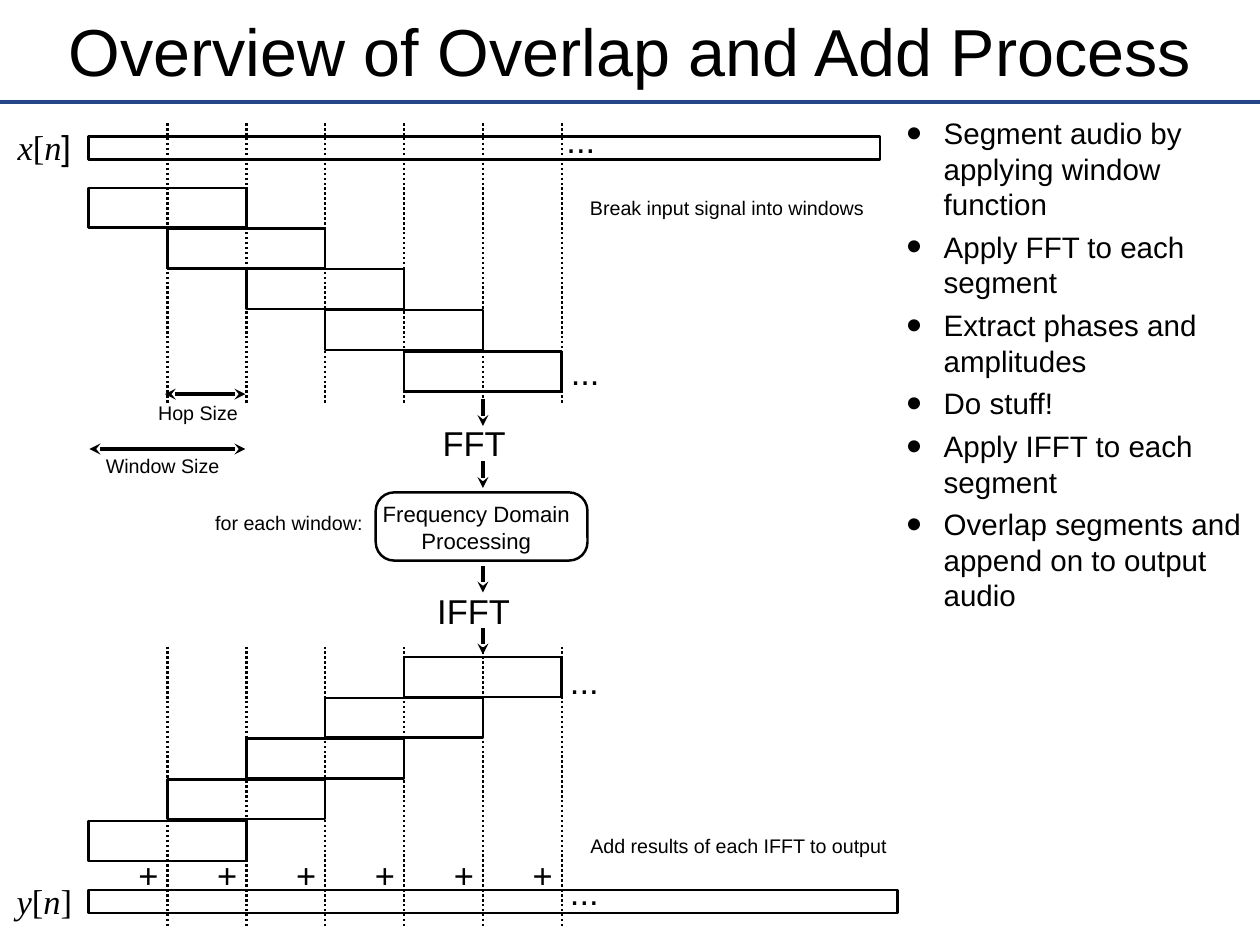
from pptx import Presentation
from pptx.dml.color import RGBColor
from pptx.enum.dml import MSO_LINE
from pptx.enum.shapes import MSO_CONNECTOR, MSO_SHAPE
from pptx.enum.text import MSO_ANCHOR, PP_ALIGN
from pptx.oxml.ns import qn
from pptx.util import Pt
from lxml import etree

PX = 9144  # 100 px to the inch
RECT, ROUND = MSO_SHAPE.RECTANGLE, MSO_SHAPE.ROUNDED_RECTANGLE
STRAIGHT = MSO_CONNECTOR.STRAIGHT
DOTS = MSO_LINE.ROUND_DOT
CENTER, LEFT = PP_ALIGN.CENTER, PP_ALIGN.LEFT
MIDDLE, TOP = MSO_ANCHOR.MIDDLE, MSO_ANCHOR.TOP
BLACK, BLUE = "000000", "254789"
SERIF = {"name": "Times New Roman"}
ITALIC = {"name": "Times New Roman", "italic": True}
HOP = 89
WINDOW = 2 * HOP
COUNT = 5
DROP = 185  # from the first window of a staircase to the last
STEPS = ["Segment audio by applying window function", "Apply FFT to each segment",
         "Extract phases and amplitudes", "Do stuff!", "Apply IFFT to each segment",
         "Overlap segments and append on to output audio"]


def color(code):
    return RGBColor.from_string(code)


def emu(*sizes):
    return [size * PX for size in sizes]


def add_xml(parent, tag, **attrs):
    return etree.SubElement(parent, qn(tag), attrs)


def style(font, size, extra):
    values = {"name": "Arial", "size": Pt(size), "italic": False} | extra
    for key, value in values.items():
        setattr(font, key, value)
    font.color.rgb = color(BLACK)


def text(slide, box, paras, size=28, align=CENTER, anchor=MIDDLE, wrap=False, pad=0):
    """Each paragraph is a list of (words, font values) runs."""
    frame = slide.shapes.add_textbox(*emu(*box)).text_frame
    values = {"word_wrap": wrap, "vertical_anchor": anchor}
    for side in ("left", "top", "right", "bottom"):
        values[f"margin_{side}"] = pad * PX
    for key, value in values.items():
        setattr(frame, key, value)
    for i, runs in enumerate(paras):
        para = frame.add_paragraph() if i else frame.paragraphs[0]
        para.alignment = align
        for words, extra in runs:
            run = para.add_run()
            run.text = words
            style(run.font, size, extra)
    return frame


def label(slide, box, words, size=28):
    text(slide, box, [[(row, {})] for row in words.split("\n")], size)


def block(slide, box, kind=RECT):
    shape = slide.shapes.add_shape(kind, *emu(*box))
    shape.shadow.inherit = False
    shape.fill.background()
    shape.line.color.rgb = color(BLACK)
    shape.line.width = Pt(2)
    return shape


def line(slide, ends, width=3, code=BLACK, dash=None, tips=()):
    link = slide.shapes.add_connector(STRAIGHT, *emu(*ends))
    link.line.color.rgb = color(code)
    link.line.width = Pt(width)
    if dash:
        link.line.dash_style = dash
    props = link._element.spPr
    for tip in tips:
        add_xml(props.find(qn("a:ln")), tip, type="stealth")
    add_xml(props, "a:effectLst")


def header(slide, box):
    x, y, w, h = box
    line(slide, (x, y + 109, x + w, y + 109), code=BLUE)
    text(slide, box, [[("Overview of Overlap and Add Process", {})]], 54, wrap=True, pad=6)


def stage(slide, box, signal, first, rising, name, note, dots):
    """Signal bar, staircase of windows and dotted guides of one side."""
    x, y, w, h = box
    block(slide, (x, y + signal, w, 26))
    for i in range(COUNT):
        drop = DROP * (COUNT - 1 - i if rising else i) // (COUNT - 1)
        block(slide, (x + i * HOP, y + first + drop, WINDOW, 45))
    for i in range(1, COUNT + 2):
        at = x + i * HOP
        line(slide, (at, y, at, y + h), 2, dash=DOTS)
        if rising:
            label(slide, (at - 33, y + 234, 23, 47), "+")
    text(slide, (x - 95, y + signal - 12, 90, 47), [name])
    label(slide, (x + 564, y + note[0], note[1], 27), note[2], 16)
    for left, top in dots:
        label(slide, (x + left, y + top, 33, 47), "...")


def sizes(slide, box):
    x, y, w, h = box
    both = ("a:headEnd", "a:tailEnd")
    line(slide, (x + HOP - 3, y, x + w, y), tips=both)
    label(slide, (x + 78, y + 7, 91, 27), "Hop Size", 16)
    line(slide, (x + 1, y + 62, x + w, y + 62), tips=both)
    label(slide, (x + 19, y + 67, 129, 27), "Window Size", 16)


def process(slide, box):
    x, y, w, h = box
    axis = x + 121
    for top in (0, 70, 188, 258):
        line(slide, (axis, y + top, axis, y + top + 30), tips=("a:tailEnd",))
    label(slide, (x + 75, y + 25, 72, 47), "FFT")
    label(slide, (x + 69, y + 215, 83, 47), "IFFT")
    block(slide, (x, y + 105, w, 77), ROUND).adjustments[0] = 0.27
    label(slide, (x + 7, y + 114, 213, 61), "Frequency Domain\nProcessing", 18)
    label(slide, (x - 182, y + 126, 168, 27), "for each window:", 16)


def bullets(slide, box):
    frame = text(slide, box, [[(step, {})] for step in STEPS], 24, LEFT, TOP, True, 6)
    for i, para in enumerate(frame.paragraphs):
        if i:
            para.space_before = Pt(6)
        props = para._p.get_or_add_pPr()
        props.set("marL", str(64 * PX))
        props.set("indent", str(-42 * PX))
        add_xml(props, "a:buSzPct", val="150000")
        add_xml(props, "a:buFont", typeface="Arial")
        add_xml(props, "a:buChar", char="•")


def main():
    deck = Presentation()
    deck.slide_width, deck.slide_height = emu(1422, 1067)
    slide = deck.slides.add_slide(deck.slide_layouts[6])
    header(slide, (0, 6, 1422, 101))
    stage(slide, (100, 139, 893, 316), 15, 73, False,
          [("x", ITALIC), ("[", SERIF), ("n", ITALIC), ("]", {})],
          (82, 313, "Break input signal into windows"), [(539, -5), (544, 257)])
    sizes(slide, (100, 445, 177, 94))
    process(slide, (424, 451, 239, 288))
    stage(slide, (100, 730, 913, 315), 275, 12, True,
          [("y", ITALIC), ("[", SERIF), ("n", ITALIC), ("]", SERIF)],
          (211, 339, "Add results of each IFFT to output"), [(543, 253), (543, 15)])
    bullets(slide, (995, 124, 419, 935))
    deck.save("out.pptx")


if __name__ == "__main__":
    main()
